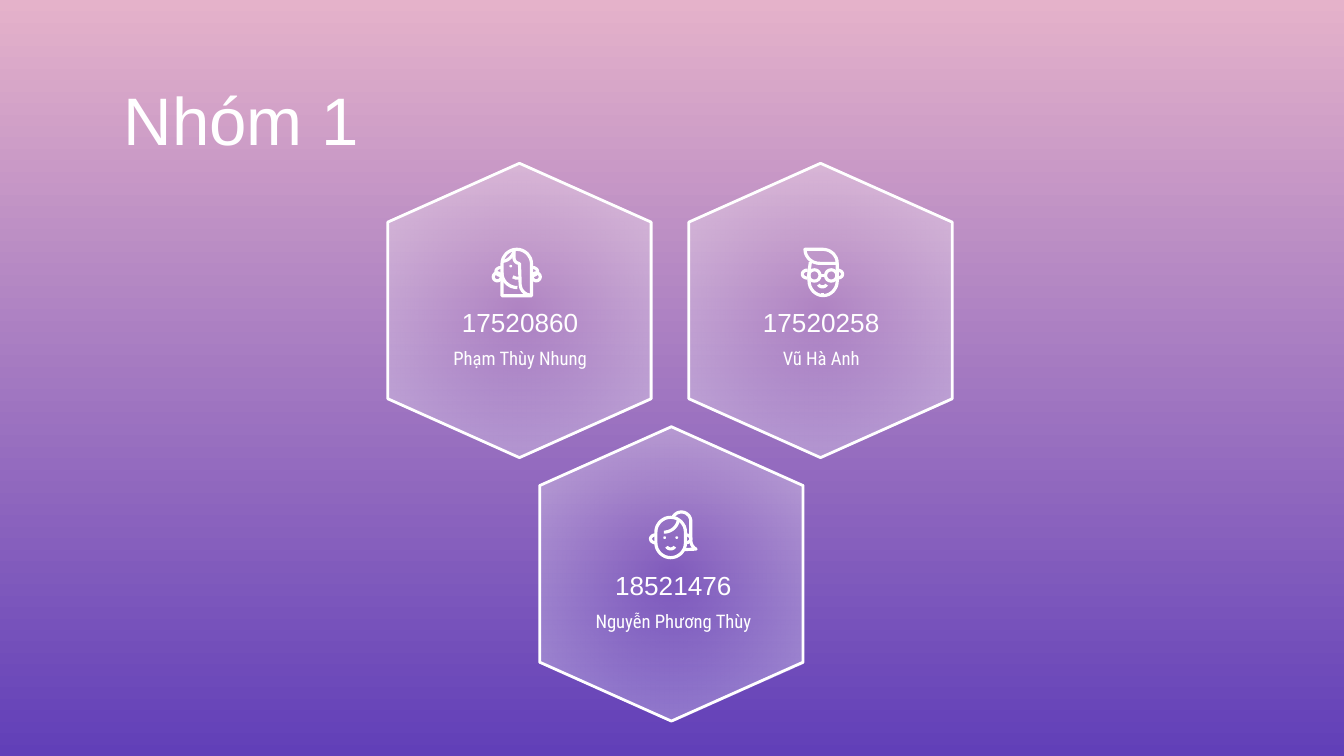
import math
from dataclasses import dataclass

from lxml import etree
from pptx import Presentation
from pptx import util as u
from pptx.dml import color
from pptx.enum import shapes, text
from pptx.oxml import ns


@dataclass(frozen=True)
class Theme:
    white: color.RGBColor = color.RGBColor.from_string("FFFFFF")
    sky: color.RGBColor = color.RGBColor.from_string("E5B2CA")
    ground: color.RGBColor = color.RGBColor.from_string("613FB8")
    display: str = "Arial"
    body: str = "Roboto Condensed"
    title_size: int = 36
    number_size: int = 14
    name_size: int = 10
    hexagon_line: float = 1.5
    icon_line: float = 1.7


THEME = Theme()
HEX_LENGTH, HEX_WIDTH = 2.19, 1.96
LABEL_WIDTH = 1.72
ICON_UNIT = 0.01
PEN_STEPS = 1000


def arc(x, y, rx, ry, start, end):
    steps = 16
    angles = [math.radians(start + (end - start) * i / steps) for i in range(steps + 1)]
    return [(x + rx * math.cos(a), y + ry * math.sin(a)) for a in angles]


def ring(x, y, radius):
    return arc(x, y, radius, radius, 0, 360)


def left_ear(x, y):
    return arc(x, y, 4, 3, 270, 90)


def right_ear(x, y):
    return arc(x, y, 4, 3, -90, 90)


def smile(x, y):
    return arc(x, y, 3.5, 3.5, 150, 30)


def long_hair_icon():
    strokes = [
        [(7.5, 36), *arc(18.5, 12.5, 11, 11, 180, 360), (29.5, 36), (7.5, 36)],
        arc(19, 19, 11.5, 11, 180, 90),
        arc(7, 1, 9.5, 9.5, 90, 0),
        [(16.5, 2), *arc(20.5, 8, 4, 4, 180, 90), *arc(29, 27, 8, 8.5, 180, 90)],
        [(15.5, 22), (18, 23), (21, 23)],
        left_ear(7, 18),
        right_ear(30, 18),
        ring(4, 22, 3),
        ring(33, 22, 3),
    ]
    return strokes, [(14, 14)]


def ponytail_icon():
    face = arc(17, 16, 11, 11, 180, 360) + arc(17, 24, 11, 11, 0, 180)
    strokes = [
        face + face[:1],
        arc(12, 5, 11, 11, 90, 10),
        arc(25, 8, 7, 7, 205, 360) + arc(38, 22, 6, 7, 180, 110) + [(27, 29)],
        left_ear(6, 21),
        right_ear(28, 21),
        smile(17, 25),
    ]
    return strokes, [(12.5, 20), (21.5, 20)]


def glasses_icon():
    strokes = [
        [(3, 1.5), *arc(16, 12, 11, 10.5, 270, 360), *arc(14, 1.5, 11, 10.5, 90, 180)],
        [(27, 12), *arc(16.5, 25, 10.5, 11, 0, 180), (6, 18), (7, 11)],
        ring(10, 21, 4.2),
        ring(22.5, 21, 4.2),
        [(14, 21), (18.5, 21)],
        left_ear(5, 20),
        right_ear(27, 20),
        smile(16, 26),
        [(16, 34), (16, 36)],
    ]
    return strokes, []


def paint_background(page):
    fill = page.background.fill
    fill.gradient()
    fill.gradient_angle = 270
    for stop, tint in zip(fill.gradient_stops, (THEME.sky, THEME.ground)):
        stop.color.rgb = tint


def write_text(box, words, *, size, font, align, anchor):
    frame = box.text_frame
    frame.word_wrap = True
    frame.auto_size = text.MSO_AUTO_SIZE.NONE
    frame.vertical_anchor = anchor
    frame.margin_left = frame.margin_right = u.Inches(0.1)
    frame.margin_top = frame.margin_bottom = u.Inches(0.1)
    para = frame.paragraphs[0]
    para.alignment = align
    span = para.add_run()
    span.text = words
    span.font.size = u.Pt(size)
    span.font.name = font
    span.font.color.rgb = THEME.white


def add_title(page, words):
    box = page.shapes.title
    box.left, box.top = u.Inches(0.82), u.Inches(0.55)
    box.width, box.height = u.Inches(3.25), u.Inches(0.73)
    write_text(box, words, size=THEME.title_size, font=THEME.display,
               align=text.PP_ALIGN.LEFT, anchor=text.MSO_ANCHOR.BOTTOM)


def add_label(page, words, left, top, height, **style):
    box = page.shapes.add_textbox(u.Inches(left), u.Inches(top),
                                  u.Inches(LABEL_WIDTH), u.Inches(height))
    write_text(box, words, align=text.PP_ALIGN.CENTER, **style)


def add_hexagon(page, left, top):
    hexagon = page.shapes.add_shape(
        shapes.MSO_SHAPE.FLOWCHART_PREPARATION, u.Inches(left), u.Inches(top),
        u.Inches(HEX_LENGTH), u.Inches(HEX_WIDTH))
    hexagon.rotation = 90
    hexagon.shadow.inherit = False
    hexagon.line.color.rgb = THEME.white
    hexagon.line.width = u.Pt(THEME.hexagon_line)
    hexagon.fill.gradient()
    for stop in hexagon.fill.gradient_stops:
        stop.color.rgb = THEME.white
    gradient = hexagon.element.spPr.find(ns.qn("a:gradFill"))
    for tint, alpha in zip(gradient.iter(ns.qn("a:srgbClr")), (0, 39000)):
        etree.SubElement(tint, ns.qn("a:alpha"), val=str(alpha))
    gradient.remove(gradient.find(ns.qn("a:lin")))
    circle = etree.SubElement(gradient, ns.qn("a:path"), path="circle")
    etree.SubElement(circle, ns.qn("a:fillToRect"), l="50000", t="50000", r="50000", b="50000")


def add_icon(page, icon, left, top):
    strokes, eyes = icon
    points = [[((left + x * ICON_UNIT) * PEN_STEPS, (top + y * ICON_UNIT) * PEN_STEPS)
               for x, y in stroke] for stroke in strokes]
    builder = page.shapes.build_freeform(*points[0][0], scale=u.Inches(1) / PEN_STEPS)
    builder.add_line_segments(points[0][1:], close=False)
    for stroke in points[1:]:
        builder.move_to(*stroke[0])
        builder.add_line_segments(stroke[1:], close=False)
    outline = builder.convert_to_shape()
    outline.shadow.inherit = False
    outline.fill.background()
    outline.line.color.rgb = THEME.white
    outline.line.width = u.Pt(THEME.icon_line)
    for x, y in eyes:
        eye = page.shapes.add_shape(
            shapes.MSO_SHAPE.OVAL, u.Inches(left + (x - 1) * ICON_UNIT),
            u.Inches(top + (y - 1) * ICON_UNIT), u.Inches(0.02), u.Inches(0.02))
        eye.shadow.inherit = False
        eye.fill.solid()
        eye.fill.fore_color.rgb = THEME.white
        eye.line.fill.background()


def add_member(page, number, name, icon, left, top, icon_inset, label_inset=0.24):
    add_hexagon(page, left, top)
    label_left = left + label_inset
    add_label(page, number, label_left, top + 0.65, 0.63, size=THEME.number_size,
              font=THEME.display, anchor=text.MSO_ANCHOR.BOTTOM)
    add_label(page, name, label_left, top + 1.15, 0.4, size=THEME.name_size,
              font=THEME.body, anchor=text.MSO_ANCHOR.TOP)
    add_icon(page, icon, left + icon_inset, top + 0.51)


def main():
    deck = Presentation()
    deck.slide_width = u.Inches(10)
    deck.slide_height = deck.slide_width * 9 // 16
    page = deck.slides.add_slide(deck.slide_layouts[5])
    paint_background(page)
    add_title(page, "Nhóm 1")
    add_member(page, "17520860", "Phạm Thùy Nhung", long_hair_icon(), 2.77, 1.33, 0.89)
    add_member(page, "17520258", "Vũ Hà Anh", glasses_icon(), 5.01, 1.33, 0.95)
    add_member(page, "18521476", "Nguyễn Phương Thùy", ponytail_icon(), 3.9, 3.29, 0.92, 0.25)
    deck.save("out.pptx")


if __name__ == "__main__":
    main()
